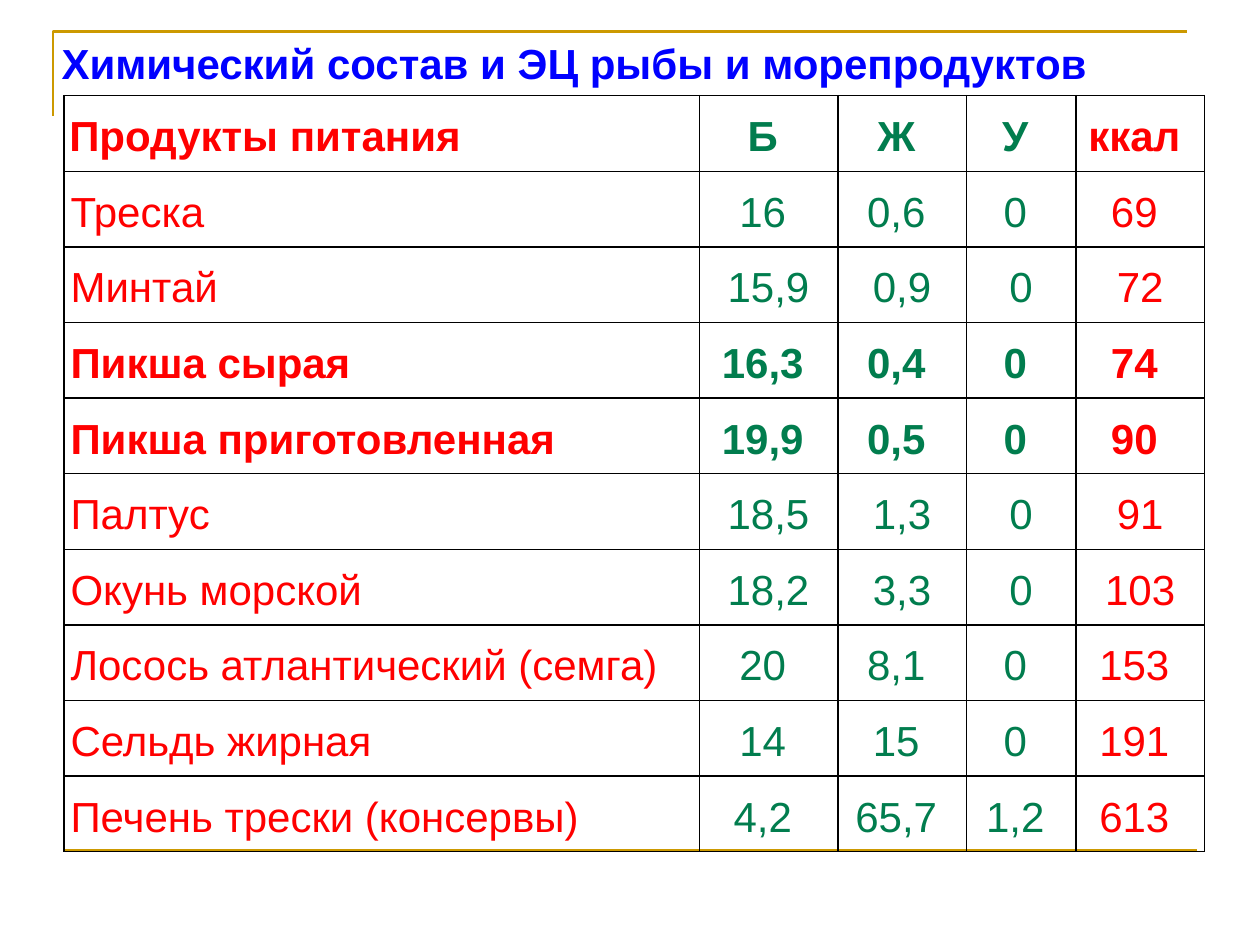
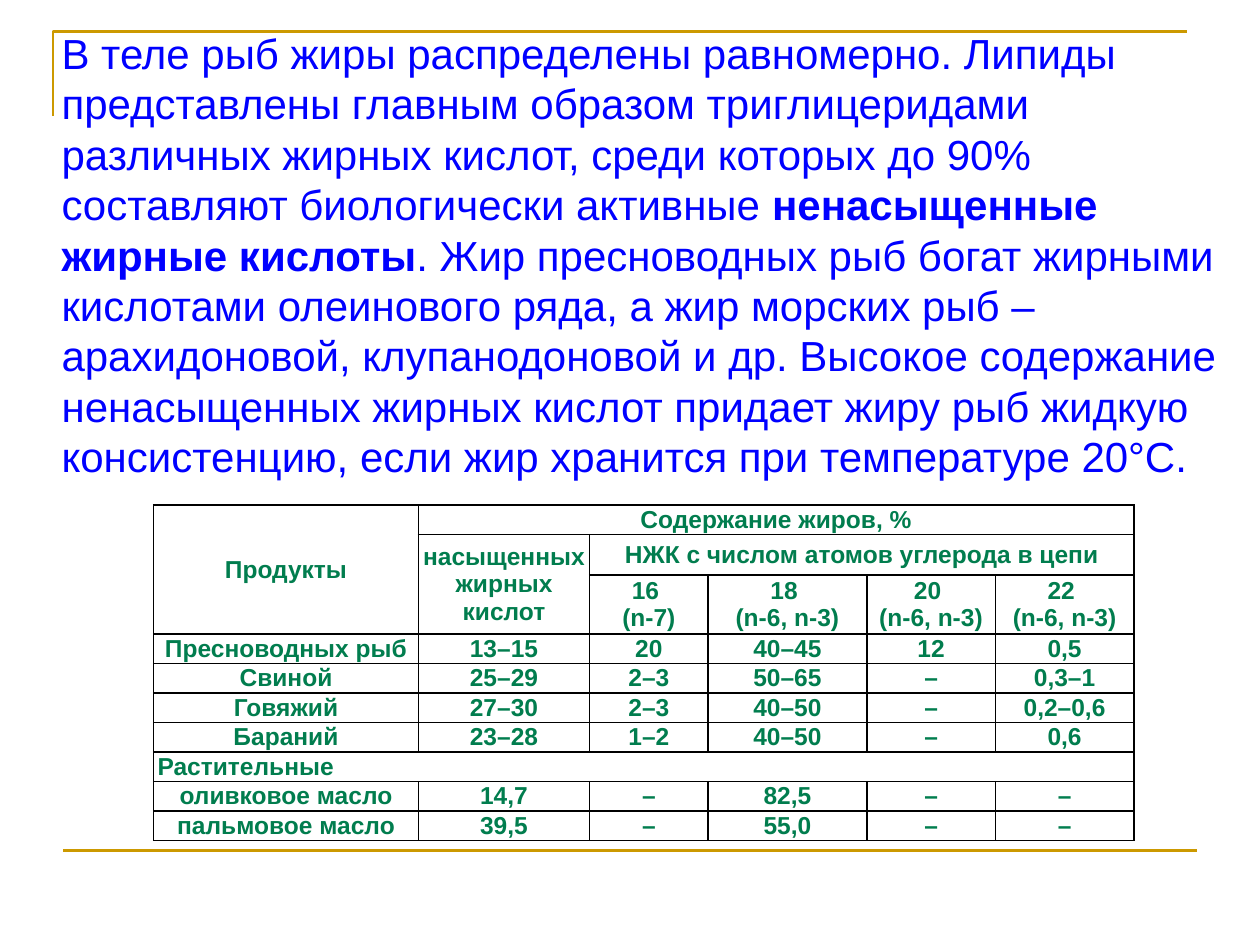
from lxml import etree
from pptx import Presentation
from pptx.dml.color import RGBColor
from pptx.enum.shapes import MSO_CONNECTOR
from pptx.enum.text import MSO_ANCHOR, PP_ALIGN
from pptx.oxml.ns import qn
from pptx.util import Inches, Pt

LEFT, CENTER = PP_ALIGN.LEFT, PP_ALIGN.CENTER
MIDDLE = MSO_ANCHOR.MIDDLE
STRAIGHT = MSO_CONNECTOR.STRAIGHT

GOLD, BLUE, RED, GREEN, BLACK = "CC9900", "0000FF", "FF0000", "017D4E", "000000"

# The space after a value moves the centred text slightly to the left.
FISH = [
    ["Продукты питания", "Б ", "Ж ", "У ", "ккал "],
    ["Треска", "16 ", "0,6 ", "0 ", "69 "],
    ["Минтай", "15,9", "0,9", "0", "72"],
    ["Пикша сырая", "16,3 ", "0,4 ", "0 ", "74 "],
    ["Пикша приготовленная", "19,9 ", "0,5 ", "0 ", "90 "],
    ["Палтус", "18,5", "1,3", "0", "91"],
    ["Окунь морской", "18,2", "3,3", "0", "103"],
    ["Лосось атлантический (семга)", "20 ", "8,1 ", "0 ", "153 "],
    ["Сельдь жирная", "14 ", "15 ", "0 ", "191 "],
    ["Печень трески (консервы)", "4,2 ", "65,7 ", "1,2 ", "613 "],
]
FISH_COLORS = [RED, GREEN, GREEN, GREEN, RED]
FISH_BOLD_ROWS = (0, 3, 4)

FATS = [
    ["Продукты", "Содержание жиров, %", "", "", "", ""],
    ["", "насыщенных жирных кислот", "НЖК с числом атомов углерода в цепи", "", "", ""],
    ["", "", "16 \n(n-7)", "18 \n(n-6, n-3)", "20 \n(n-6, n-3)", "22 \n(n-6, n-3)"],
    ["Пресноводных рыб", "13–15", "20", "40–45", "12", "0,5"],
    ["Свиной", "25–29", "2–3", "50–65", "–", "0,3–1"],
    ["Говяжий", "27–30", "2–3", "40–50", "–", "0,2–0,6"],
    ["Бараний", "23–28", "1–2", "40–50", "–", "0,6"],
    ["Растительные", "", "", "", "", ""],
    ["оливковое масло", "14,7", "–", "82,5", "–", "–"],
    ["пальмовое масло", "39,5", "–", "55,0", "–", "–"],
]
VEGETABLE_ROW = 7
# First and last cell of each merged area, as (row, column).
FATS_MERGES = [
    ((0, 0), (2, 0)),
    ((0, 1), (0, 5)),
    ((1, 1), (2, 1)),
    ((1, 2), (1, 5)),
    ((VEGETABLE_ROW, 0), (VEGETABLE_ROW, 5)),
]

LIPIDS = [
    ("В теле рыб жиры распределены равномерно. Липиды представлены главным образом "
     "триглицеридами различных жирных кислот, среди которых до 90% составляют "
     "биологически активные ", False),
    ("ненасыщенные жирные кислоты", True),
    (". Жир пресноводных рыб богат жирными кислотами олеинового ряда, а жир морских "
     "рыб – арахидоновой, клупанодоновой и др. Высокое содержание ненасыщенных жирных "
     "кислот придает жиру рыб жидкую консистенцию, если жир хранится при температуре "
     "20°С.", False),
]


def rgb(color):
    return RGBColor.from_string(color)


class Deck:
    """Holds the shared style and the slide being built."""

    font = "Arial"
    text_size = 24

    def __init__(self):
        self.prs = Presentation()
        self.prs.slide_width, self.prs.slide_height = Inches(10), Inches(7.5)
        self.s = None

    def new_slide(self):
        self.s = self.prs.slides.add_slide(self.prs.slide_layouts[6])
        self.corner()
        self.bottom_rule()

    def corner(self):
        builder = self.s.shapes.build_freeform(Inches(0.42), Inches(0.92))
        builder.add_line_segments(
            [(Inches(0.42), Inches(0.25)), (Inches(9.42), Inches(0.25))], close=False)
        sp = builder.convert_to_shape()
        sp.shadow.inherit = False
        sp.fill.background()
        self.gold_line(sp)

    def bottom_rule(self):
        rule = self.s.shapes.add_connector(
            STRAIGHT, Inches(0.5), Inches(6.75), Inches(9.5), Inches(6.75))
        self.gold_line(rule)
        etree.SubElement(rule._element.spPr, qn("a:effectLst"))

    def gold_line(self, sp):
        sp.line.color.rgb = rgb(GOLD)
        sp.line.width = Pt(1.5)

    def run(self, p, text, size, color, bold):
        """Add text to a paragraph, turning each newline into a line break."""
        for i, line in enumerate(text.split("\n")):
            if i:
                p.add_line_break()
            r = p.add_run()
            r.text = line
            r.font.name, r.font.size, r.font.bold = self.font, Pt(size), bold
            r.font.color.rgb = rgb(color)

    def text(self, left, top, width, height, runs):
        box = self.s.shapes.add_textbox(
            Inches(left), Inches(top), Inches(width), Inches(height))
        tf = box.text_frame
        tf.word_wrap = True
        for text, bold in runs:
            self.run(tf.paragraphs[0], text, self.text_size, BLUE, bold)

    def table(self, left, top, widths, heights, merges=()):
        """Add an empty table with plain black borders."""
        frame = self.s.shapes.add_table(
            len(heights), len(widths), Inches(left), Inches(top),
            Inches(sum(widths)), Inches(sum(heights)))
        table = frame.table
        table.first_row = table.horz_banding = False
        for column, width in zip(table.columns, widths):
            column.width = Inches(width)
        for row, height in zip(table.rows, heights):
            row.height = Inches(height)
        for cell in table.iter_cells():
            self.borders(cell)
            cell.fill.background()
            cell.vertical_anchor = MIDDLE
        for first, last in merges:
            table.cell(*first).merge(table.cell(*last))
        return table

    def borders(self, cell):
        tc_pr = cell._tc.get_or_add_tcPr()
        for side in "LRTB":
            ln = etree.SubElement(tc_pr, qn(f"a:ln{side}"), w=str(Pt(1)))
            fill = etree.SubElement(ln, qn("a:solidFill"))
            etree.SubElement(fill, qn("a:srgbClr"), val=BLACK)

    def cell(self, cell, text, size, color, bold, align, side, edge):
        """Fill a cell; side and edge are its horizontal and vertical margins."""
        cell.margin_left = cell.margin_right = Inches(side)
        cell.margin_top = cell.margin_bottom = Inches(edge)
        p = cell.text_frame.paragraphs[0]
        p.alignment = align
        self.run(p, text, size, color, bold)
        return p


def fish_slide(deck):
    deck.new_slide()
    deck.text(0.39, 0.25, 9.65, 0.5, [("Химический состав и ЭЦ рыбы и морепродуктов", True)])
    table = deck.table(0.51, 0.76, [5.04, 1.1, 1.02, 0.87, 1.02], [0.6] * len(FISH))
    for i, row in enumerate(FISH):
        for j, text in enumerate(row):
            margin = 0.04 + 0.01 * (i > 0) + 0.01 * (j > 0)
            p = deck.cell(table.cell(i, j), text, deck.text_size, FISH_COLORS[j],
                          i in FISH_BOLD_ROWS, CENTER if j else LEFT, margin, margin)
            p.line_spacing = 1.15
            if i == 0:
                p.space_after = Pt(10)


def fats_slide(deck):
    deck.new_slide()
    deck.text(0.39, 0.17, 9.61, 3.74, LIPIDS)
    heights = [0.23, 0.32, 0.47] + [0.23] * 7
    table = deck.table(1.22, 4.01, [2.1, 1.36, 0.94, 1.26, 1.02, 1.1], heights, FATS_MERGES)
    for i, row in enumerate(FATS):
        for j, text in enumerate(row):
            cell = table.cell(i, j)
            if not cell.is_spanned:
                align = LEFT if i == VEGETABLE_ROW else CENTER
                deck.cell(cell, text, 14, GREEN, True, align, 0.03, 0)


def main():
    deck = Deck()
    fish_slide(deck)
    fats_slide(deck)
    deck.prs.save("out.pptx")


if __name__ == "__main__":
    main()
